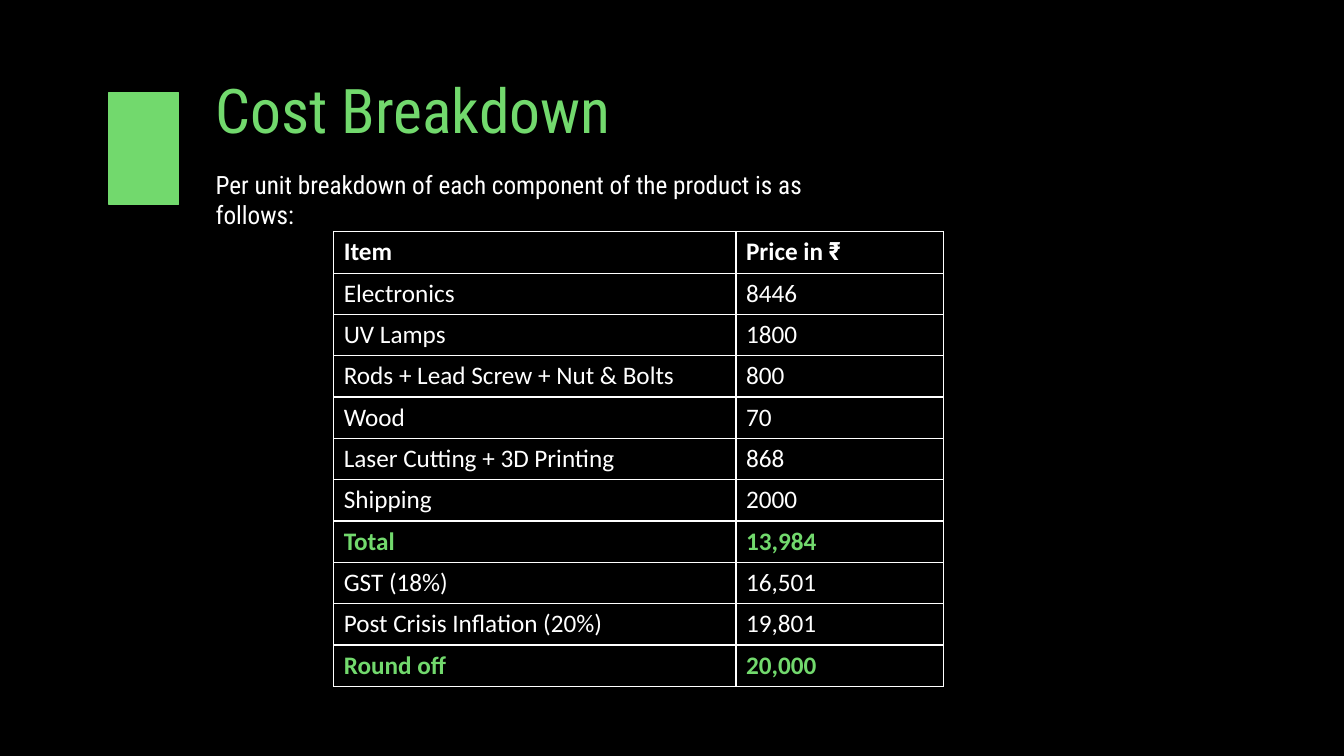
from lxml import etree
from pptx import Presentation
from pptx.dml.color import RGBColor
from pptx.enum.shapes import MSO_SHAPE as SHAPE
from pptx.enum.text import MSO_ANCHOR as ANCHOR
from pptx.oxml.ns import qn
from pptx.util import Inches, Pt

BLACK = RGBColor(0x00, 0x00, 0x00)
WHITE = RGBColor(0xFF, 0xFF, 0xFF)
GREEN = RGBColor(0x72, 0xD9, 0x6D)
HEAD_FONT, BODY_FONT = "Roboto Condensed", "Calibri"

COSTS = [
    ("Item", "Price in ₹"),
    ("Electronics", "8446"),
    ("UV Lamps", "1800"),
    ("Rods + Lead Screw + Nut & Bolts", "800"),
    ("Wood", "70"),
    ("Laser Cutting + 3D Printing", "868"),
    ("Shipping", "2000"),
    ("Total", "13,984"),
    ("GST (18%)", "16,501"),
    ("Post Crisis Inflation (20%)", "19,801"),
    ("Round off", "20,000"),
]
SUM_ROWS = ("Total", "Round off")


class CostSlide:
    def __init__(self, prs):
        self.s = prs.slides.add_slide(prs.slide_layouts[6])
        self.s.background.fill.solid()
        self.s.background.fill.fore_color.rgb = BLACK

    def run(self, p, text, color, **fmt):
        r = p.add_run()
        r.text = text
        for name, value in fmt.items():
            setattr(r.font, name, value)
        r.font.color.rgb = color

    def block(self, x, y, w, h, color):
        sp = self.s.shapes.add_shape(SHAPE.RECTANGLE, Inches(x), Inches(y), Inches(w), Inches(h))
        sp.shadow.inherit = False
        sp.fill.solid()
        sp.fill.fore_color.rgb = color
        sp.line.color.rgb = color
        sp.line.width = Pt(1)

    def text(self, x, y, w, h, text, color, size, anchor=ANCHOR.TOP, spacing=1.0):
        tf = self.s.shapes.add_textbox(Inches(x), Inches(y), Inches(w), Inches(h)).text_frame
        tf.word_wrap = True
        tf.vertical_anchor = anchor
        p = tf.paragraphs[0]
        p.line_spacing = spacing
        self.run(p, text, color, size=Pt(size), name=HEAD_FONT)

    def border(self, cell, color):
        tc_pr = cell._tc.get_or_add_tcPr()
        for i, side in enumerate(("a:lnL", "a:lnR", "a:lnT", "a:lnB")):
            ln = etree.Element(qn(side), w=str(Pt(1)))
            fill = etree.SubElement(ln, qn("a:solidFill"))
            etree.SubElement(fill, qn("a:srgbClr"), val=str(color))
            tc_pr.insert(i, ln)

    def table(self, x, y, widths, row_h, rows):
        frame = self.s.shapes.add_table(len(rows), len(widths), Inches(x), Inches(y),
                                        Inches(sum(widths)), Inches(row_h * len(rows)))
        table = frame.table
        for col, width in zip(table.columns, widths):
            col.width = Inches(width)
        for i, row in enumerate(rows):
            is_sum = row[0] in SUM_ROWS
            fmt = {"size": Pt(18), "bold": i == 0 or is_sum}
            for j, text in enumerate(row):
                cell = table.cell(i, j)
                cell.fill.solid()
                cell.fill.fore_color.rgb = BLACK
                self.border(cell, WHITE)
                p = cell.text_frame.paragraphs[0]
                # The rupee sign uses the heading font
                label, sign, _ = text.partition("₹")
                for part, font in ((label, BODY_FONT), (sign, HEAD_FONT)):
                    if part:
                        self.run(p, part, GREEN if is_sum else WHITE, name=font, **fmt)


def main():
    prs = Presentation()
    prs.slide_width, prs.slide_height = Inches(13.33), Inches(7.5)
    slide = CostSlide(prs)

    # Heading with accent block
    slide.text(2.04, 0.4, 10.38, 1.45, "Cost Breakdown", GREEN, 44, ANCHOR.MIDDLE, 0.9)
    slide.block(1.08, 0.92, 0.69, 1.11, GREEN)
    slide.text(2.04, 1.63, 6.74, 0.4,
               "Per unit breakdown of each component of the product is as follows:", WHITE, 18)

    # Cost table
    slide.table(3.31, 2.3, (3.99, 2.06), 0.41, COSTS)

    prs.save("out.pptx")


if __name__ == "__main__":
    main()
